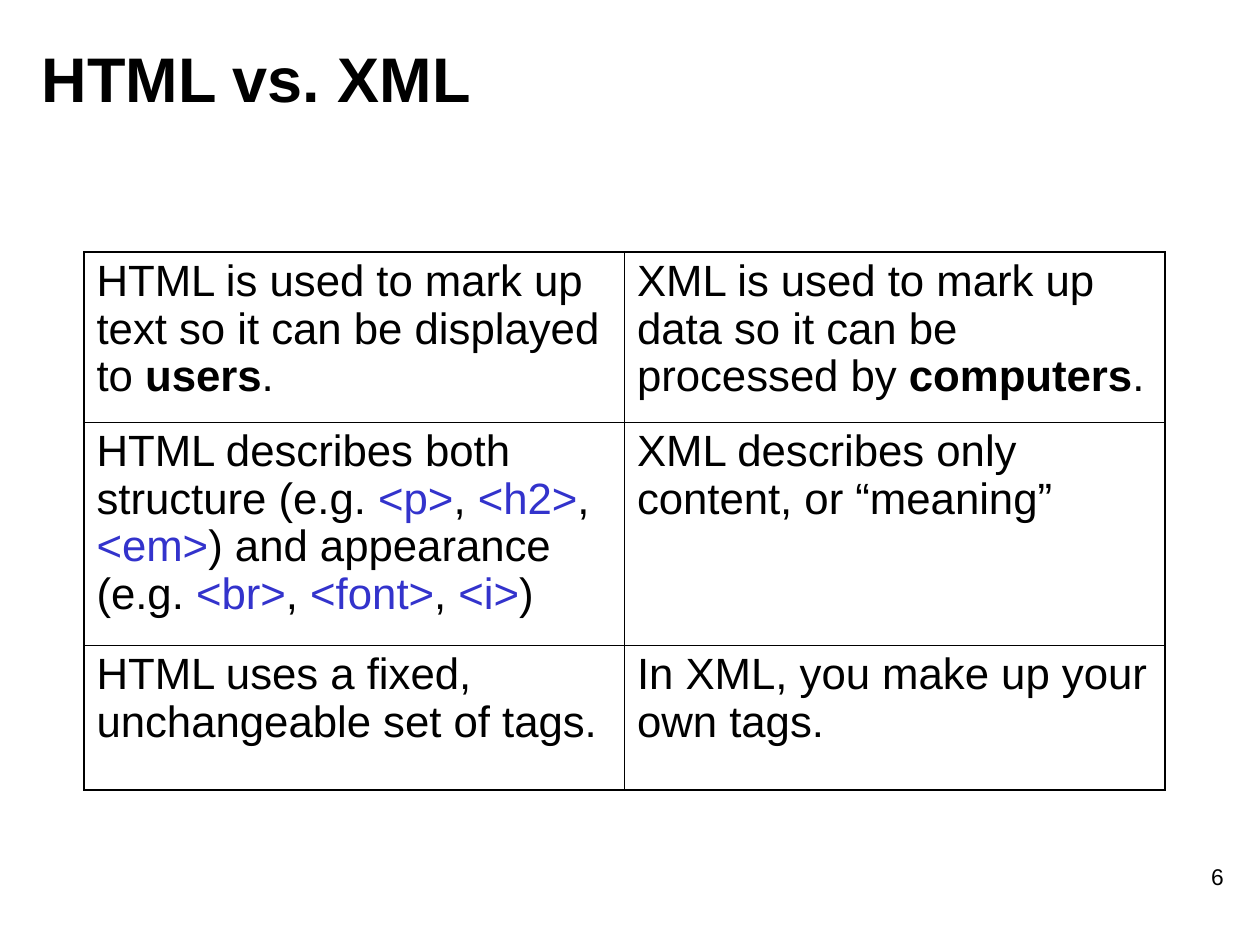
from lxml.etree import SubElement
from pptx import Presentation
from pptx.dml.color import RGBColor
from pptx.enum.text import MSO_ANCHOR, PP_ALIGN
from pptx.oxml.ns import qn
from pptx.util import Emu, Pt

EMU_PER_PX = 914400 / 126
BLACK = RGBColor(0x00, 0x00, 0x00)
TAG_BLUE = RGBColor(0x33, 0x33, 0xCC)
OUTER_LINE, INNER_LINE = Pt(1.08), Pt(0.45)

TITLE_FORMAT = {"name": "Arial", "size": Pt(36), "bold": True}
NUMBER_FORMAT = {"name": "Arial", "size": Pt(13), "bold": False}
CELL_FORMAT = {"name": "Arial", "size": Pt(25), "bold": False}

PLAIN, STRONG, TAG = (BLACK, {}), (BLACK, {"bold": True}), (TAG_BLUE, {})
COMPARISON = [
    [
        [("HTML is used to mark up text so it can be displayed to ", PLAIN),
         ("users", STRONG), (".", PLAIN)],
        [("XML is used to mark up data so it can be processed by ", PLAIN),
         ("computers", STRONG), (".", PLAIN)],
    ],
    [
        [("HTML describes both structure (e.g. ", PLAIN), ("<p>", TAG),
         (", ", PLAIN), ("<h2>", TAG), (", ", PLAIN), ("<em>", TAG),
         (") and appearance (e.g. ", PLAIN), ("<br>", TAG), (", ", PLAIN),
         ("<font>", TAG), (",", PLAIN), (" <i>", TAG), (")", PLAIN)],
        [("XML describes only content, or “meaning”", PLAIN)],
    ],
    [
        [("HTML uses a fixed, unchangeable set of tags.", PLAIN)],
        [("In XML, you make up your own tags.", PLAIN)],
    ],
]
ROW_HEIGHTS = [170, 223, 145]


def px(length):
    return Emu(round(length * EMU_PER_PX))


def add_span(para, text, text_format, color=BLACK):
    span = para.add_run()
    span.text = text
    for name, value in text_format.items():
        setattr(span.font, name, value)
    span.font.color.rgb = color


def place_title(page, box, text):
    title = page.shapes.title
    title.left, title.top, title.width, title.height = map(px, box)
    title.text_frame.vertical_anchor = MSO_ANCHOR.MIDDLE
    para = title.text_frame.paragraphs[0]
    para.alignment = PP_ALIGN.LEFT
    add_span(para, text, TITLE_FORMAT)


def add_page_number(page, box, text):
    frame = page.shapes.add_textbox(*map(px, box)).text_frame
    frame.word_wrap = True
    para = frame.paragraphs[0]
    para.alignment = PP_ALIGN.RIGHT
    add_span(para, text, NUMBER_FORMAT)


def draw_borders(cell, outer_edges):
    """Rule all four sides, heavier on the edges that bound the table."""
    properties = cell._tc.get_or_add_tcPr()
    for side, is_outer in outer_edges.items():
        width = OUTER_LINE if is_outer else INNER_LINE
        line = SubElement(properties, qn(f"a:ln{side}"), w=str(int(width)))
        fill = SubElement(line, qn("a:solidFill"))
        SubElement(fill, qn("a:srgbClr"), val=str(BLACK))


def add_comparison(page, box, rows):
    row_count, column_count = len(rows), len(rows[0])
    table = page.shapes.add_table(row_count, column_count, *map(px, box)).table
    table.first_row = table.horz_banding = False
    for row, height in zip(table.rows, ROW_HEIGHTS):
        row.height = px(height)
    for row_index, row in enumerate(rows):
        for column_index, spans in enumerate(row):
            cell = table.cell(row_index, column_index)
            draw_borders(cell, {
                "L": column_index == 0,
                "R": column_index == column_count - 1,
                "T": row_index == 0,
                "B": row_index == row_count - 1,
            })
            cell.fill.background()
            para = cell.text_frame.paragraphs[0]
            para.line_spacing = 0.98
            for text, (color, emphasis) in spans:
                add_span(para, text, CELL_FORMAT | emphasis, color)


def main():
    deck = Presentation()
    deck.slide_width, deck.slide_height = px(1260), px(945)
    page = deck.slides.add_slide(deck.slide_layouts.get_by_name("Title Only"))
    add_page_number(page, (974, 857, 262, 63), "6")
    place_title(page, (29, 19, 1012, 117), "HTML vs. XML")
    add_comparison(page, (84, 252, 1081, sum(ROW_HEIGHTS)), COMPARISON)
    deck.save("out.pptx")


if __name__ == "__main__":
    main()
